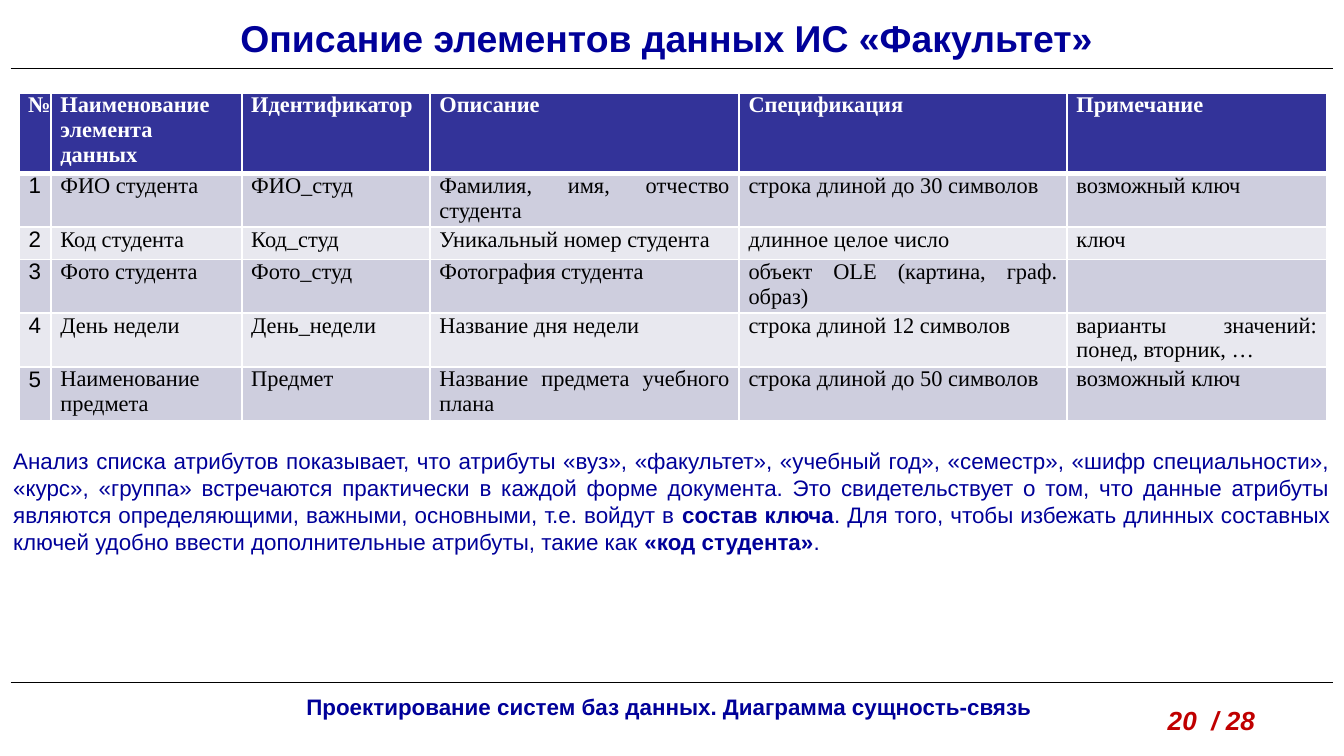
import pptx
import pptx.util
import pptx.dml.color
import pptx.enum.shapes
import pptx.enum.text
import lxml.etree
from dataclasses import dataclass

Inches = pptx.util.Inches
Align = pptx.enum.text.PP_ALIGN
Anchor = pptx.enum.text.MSO_ANCHOR


@dataclass(frozen=True)
class Theme:
    navy: str = "000099"
    red: str = "C00000"
    black: str = "000000"
    white: str = "FFFFFF"
    head: str = "333399"
    odd: str = "CECEDE"
    even: str = "E8E8EF"
    sans: str = "Arial"
    serif: str = "Times New Roman"
    big: int = 20
    mid: int = 14
    small: int = 12


theme = Theme()


def write(frame, *parts, color=theme.navy, size=theme.small, font=theme.sans,
          bold=False, slant=False, align=Align.LEFT):
    frame.word_wrap = True
    para = frame.paragraphs[0]
    para.alignment = align
    for part, heavy in parts:
        run = para.add_run()
        run.text = part
        run.font.name = font
        run.font.size = pptx.util.Pt(size)
        run.font.bold = bold or heavy
        run.font.italic = slant
        run.font.color.rgb = pptx.dml.color.RGBColor.from_string(color)


def edge(cell, side, width):
    xml = pptx.oxml.ns.qn
    line = lxml.etree.SubElement(cell._tc.get_or_add_tcPr(), xml(f"a:{side}"),
                                 w=str(pptx.util.Pt(width)))
    fill = lxml.etree.SubElement(line, xml("a:solidFill"))
    lxml.etree.SubElement(fill, xml("a:srgbClr"), val=theme.white)


deck = pptx.Presentation()
deck.slide_width = Inches(10)
deck.slide_height = Inches(10) * 9 // 16
slide = deck.slides.add_slide(deck.slide_layouts[5])

title = slide.shapes.title
title.left, title.top = Inches(0), Inches(0.06)
title.width, title.height = Inches(10), Inches(0.45)
title.text_frame.vertical_anchor = Anchor.TOP
write(title.text_frame, ("Описание элементов данных ИС «Факультет» ", False),
      size=theme.big, bold=True, align=Align.CENTER)

for y in (0.51, 5.08):
    rule = slide.shapes.add_connector(
        pptx.enum.shapes.MSO_CONNECTOR.STRAIGHT,
        Inches(0.08), Inches(y), Inches(9.92), Inches(y))
    rule.line.width = pptx.util.Pt(0.75)
    rule.line.color.rgb = pptx.dml.color.RGBColor.from_string(theme.black)
    lxml.etree.SubElement(rule._element.spPr, pptx.oxml.ns.qn("a:effectLst"))

rows = [
    ("№", "Наименование элемента данных", "Идентификатор", "Описание",
     "Спецификация", "Примечание"),
    ("1", "ФИО студента", "ФИО_студ", "Фамилия, имя, отчество студента",
     "строка длиной до 30 символов", "возможный ключ"),
    ("2", "Код студента", "Код_студ", "Уникальный номер студента",
     "длинное целое число", "ключ"),
    ("3", "Фото студента", "Фото_студ", "Фотография студента",
     "объект OLE (картина, граф. образ)", ""),
    ("4", "День недели", "День_недели", "Название дня недели",
     "строка длиной 12 символов", "варианты значений: понед, вторник, …"),
    ("5", "Наименование предмета", "Предмет", "Название предмета учебного плана",
     "строка длиной до 50 символов", "возможный ключ"),
]
wides = (0.24, 1.42, 1.4, 2.3, 2.44, 1.93)
highs = (0.6, 0.4, 0.24, 0.4, 0.4, 0.4)

grid = slide.shapes.add_table(
    len(rows), len(wides), Inches(0.14), Inches(0.69),
    Inches(sum(wides)), Inches(sum(highs))).table
for col, wide in zip(grid.columns, wides):
    col.width = Inches(wide)
for row, high in zip(grid.rows, highs):
    row.height = Inches(high)

for r, row in enumerate(rows):
    top = r == 0
    shade = theme.head if top else (theme.even, theme.odd)[r % 2]
    for c, text in enumerate(row):
        cell = grid.cell(r, c)
        cell.margin_left = cell.margin_right = Inches(0.07)
        cell.margin_top = cell.margin_bottom = Inches(0)
        for side in ("lnL", "lnR", "lnT", "lnB"):
            thick = (top and side == "lnB") or (r == 1 and side == "lnT")
            edge(cell, side, 3 if thick else 1)
        cell.fill.solid()
        cell.fill.fore_color.rgb = pptx.dml.color.RGBColor.from_string(shade)
        count = c == 0 and not top
        write(cell.text_frame, (text, False),
              color=theme.white if top else theme.black,
              font=theme.sans if count else theme.serif, bold=top,
              align=Align.CENTER if count else Align.JUSTIFY)

notes = [
    ((0, 3.28, 10, 0.91),
     [("Анализ списка атрибутов показывает, что атрибуты «вуз», «факультет», "
       "«учебный год», «семестр», «шифр специальности», «курс», «группа» "
       "встречаются практически в каждой форме документа. Это свидетельствует "
       "о том, что данные атрибуты являются определяющими, важными, основными, "
       "т.е. войдут в ", False),
      ("состав ключа", True),
      (". Для того, чтобы избежать длинных составных ключей удобно ввести "
       "дополнительные атрибуты, такие как ", False),
      ("«код студента»", True), (".", False)],
     dict(align=Align.JUSTIFY)),
    ((1.25, 5.11, 7.46, 0.3),
     [("Проектирование систем баз данных. Диаграмма сущность-связь", True)],
     dict(align=Align.CENTER)),
    ((8.59, 5.19, 1.02, 0.34), [("20  / 28", True)],
     dict(color=theme.red, size=theme.mid, slant=True)),
]
for place, parts, style in notes:
    box = slide.shapes.add_textbox(*map(Inches, place))
    write(box.text_frame, *parts, **style)

deck.save("out.pptx")
